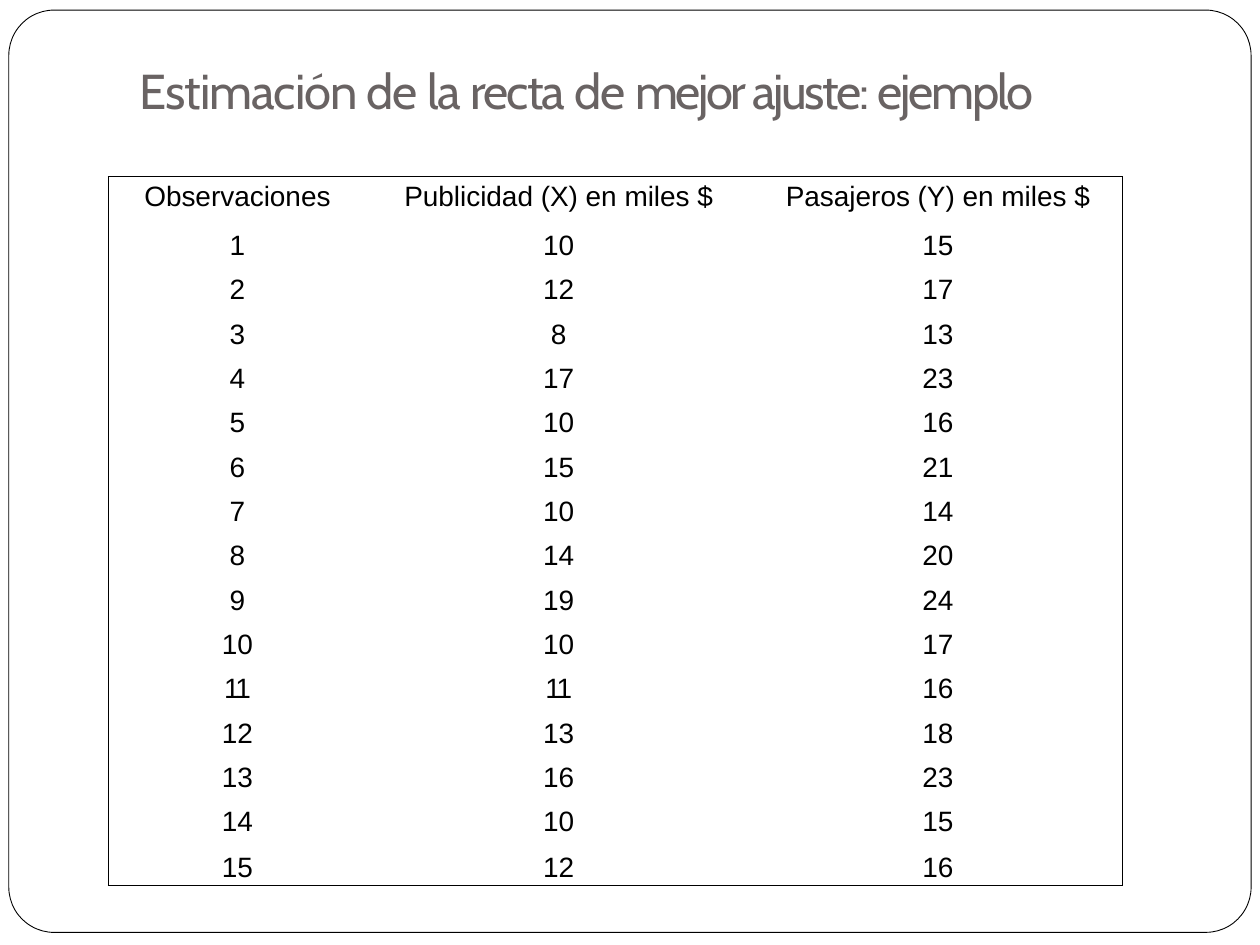
from lxml.etree import SubElement
from pptx import Presentation
from pptx.dml.color import RGBColor
from pptx.enum.shapes import MSO_SHAPE
from pptx.enum.text import PP_ALIGN
from pptx.oxml.ns import qn
from pptx.util import Inches, Pt

COLORS = {"ink": "000000", "title": "696363"}
BORDER = 0.5

HEADERS = ["Observaciones", "Publicidad (X) en miles $", "Pasajeros (Y) en miles $"]
ADVERTISING = [10, 12, 8, 17, 10, 15, 10, 14, 19, 10, 11, 13, 16, 10, 12]
PASSENGERS = [15, 17, 13, 23, 16, 21, 14, 20, 24, 17, 16, 18, 23, 15, 16]
TITLE = [("Estimación de ", -0.6), ("la ", -0.9), ("recta ", -1.1), ("de ", -0.6),
         ("mejor ajuste: ", -1.4), ("ejemplo", -1.3)]


def add_run(p, text, size=16, font="Arial", color="ink", spacing=0):
    r = p.add_run()
    r.text = text
    r.font.size = Pt(size)
    r.font.name = font
    r.font.color.rgb = RGBColor.from_string(COLORS[color])
    if spacing:
        r.font._element.set("spc", str(round(spacing * 100)))


def set_margins(target, left=0, top=0):
    target.margin_left, target.margin_top = Inches(left), Inches(top)
    target.margin_right = target.margin_bottom = 0


def set_borders(cell, edges):
    """Draw the sides named in edges (from L, R, T, B) and clear the others."""
    tc_pr = cell._tc.get_or_add_tcPr()
    for side in "LRTB":
        ln = SubElement(tc_pr, qn(f"a:ln{side}"), w=str(Pt(BORDER)))
        if side in edges:
            fill = SubElement(ln, qn("a:solidFill"))
            SubElement(fill, qn("a:srgbClr"), val=COLORS["ink"])
        else:
            SubElement(ln, qn("a:noFill"))


def add_frame(s, box, radius):
    sp = s.shapes.add_shape(MSO_SHAPE.ROUNDED_RECTANGLE, *map(Inches, box))
    sp.adjustments[0] = radius / min(box[2:])
    sp.shadow.inherit = False
    sp.fill.background()
    sp.line.color.rgb = RGBColor.from_string(COLORS["ink"])
    sp.line.width = Pt(BORDER)


def add_title(s, box):
    tf = s.shapes.add_textbox(*map(Inches, box)).text_frame
    tf.word_wrap = True
    set_margins(tf, left=0.01, top=0.01)
    for text, spacing in TITLE:
        add_run(tf.paragraphs[0], text, size=28, font="Cabin", color="title", spacing=spacing)


def add_data_table(s, box):
    rows = [HEADERS, *zip(range(1, len(ADVERTISING) + 1), ADVERTISING, PASSENGERS)]
    last_row, last_col = len(rows) - 1, len(HEADERS) - 1
    table = s.shapes.add_table(len(rows), len(HEADERS), *map(Inches, box)).table
    table.first_row = table.horz_banding = False

    for column, width in zip(table.columns, (2.05, 3.04, 2.96)):
        column.width = Inches(width)
    special = {0: 0.38, 1: 0.37, last_row: 0.3}
    regular = (box[3] - sum(special.values())) / (len(rows) - len(special))
    for i, row in enumerate(table.rows):
        row.height = Inches(special.get(i, regular))

    for i, values in enumerate(rows):
        for j, value in enumerate(values):
            cell = table.cell(i, j)
            set_margins(cell, left=(0, 0.01, 0.03)[j], top={0: 0.04, 1: 0.05}.get(i, 0.03))
            edges = {"L": j == 0, "R": j == last_col, "T": i == 0, "B": i == last_row}
            set_borders(cell, [side for side, shown in edges.items() if shown])
            cell.fill.background()
            p = cell.text_frame.paragraphs[0]
            p.alignment = PP_ALIGN.CENTER
            if i == last_row:
                p.line_spacing = Pt(18.4)
            add_run(p, str(value), spacing=-1.2 if value == 11 else 0)


def main():
    prs = Presentation()
    prs.slide_width, prs.slide_height = Inches(10), Inches(7.5)
    s = prs.slides.add_slide(prs.slide_layouts[6])
    add_frame(s, (0.07, 0.08, 9.86, 7.32), radius=0.36)
    add_data_table(s, (0.86, 1.4, 8.05, 5.63))
    add_title(s, (1.1, 0.47, 7.81, 0.5))
    prs.save("out.pptx")


if __name__ == "__main__":
    main()
